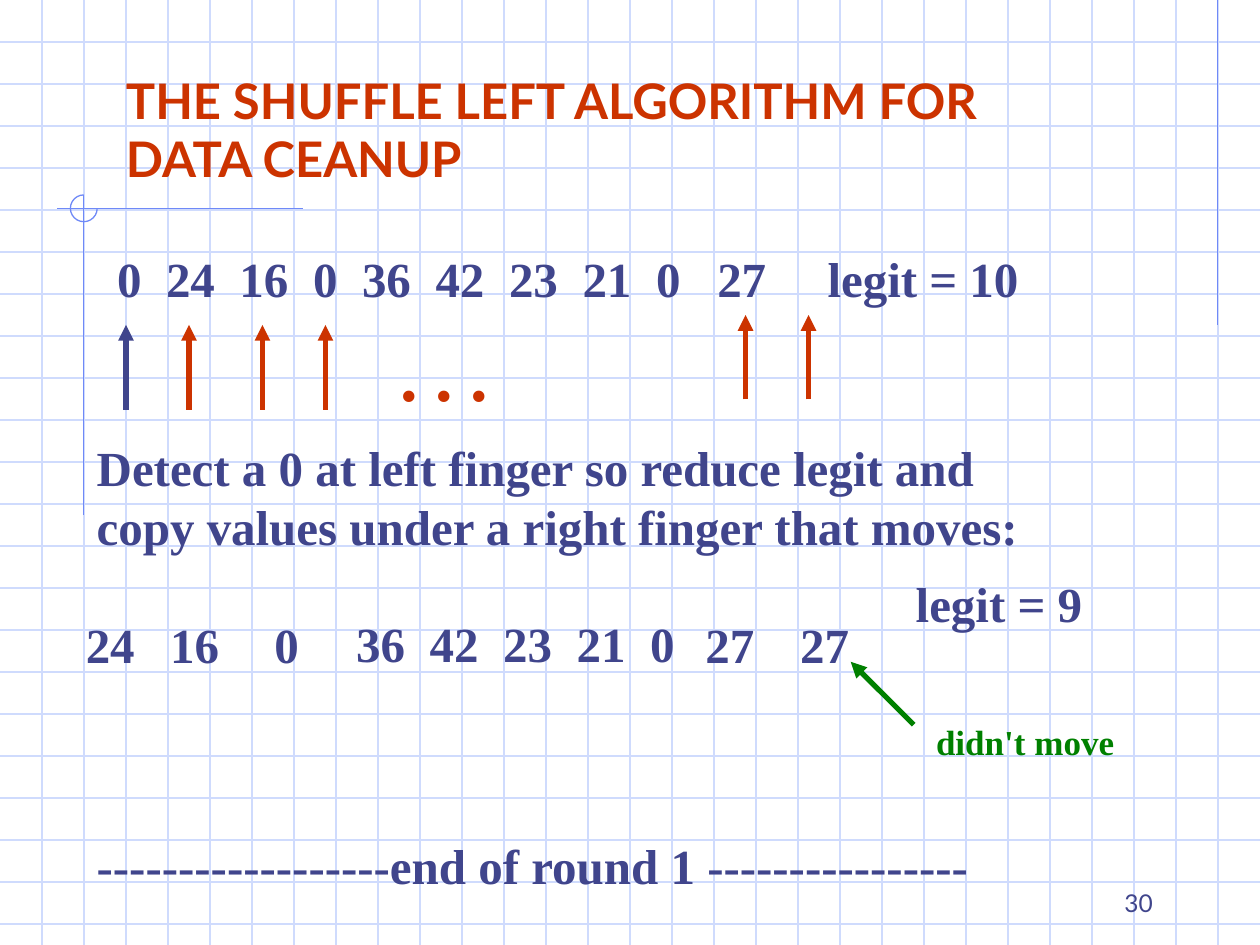
from dataclasses import dataclass

import pptx
import pptx.dml.color
import pptx.enum.shapes
import pptx.enum.text
import pptx.oxml
import pptx.oxml.ns
import pptx.util
from pptx.util import Cm

GRID, RULE = "CFDBFD", "6F89F7"
NAVY, RED, GREEN = "40458C", "CC3300", "008000"
SERIF, SANS = "Times New Roman", "Lato"
WIDTH, HEIGHT = 25.4, 19.05
STEP = WIDTH / 30


@dataclass
class Label:
    text: str
    x: float
    y: float
    w: float
    h: float = 1.45
    size: int = 28
    color: str = NAVY
    font: str = SERIF
    bold: bool = True
    bottom: bool = False
    right: bool = False
    tabs: tuple[int, ...] = ()  # points


@dataclass
class Line:
    x1: float
    y1: float
    x2: float
    y2: float
    color: str = RED
    width: float = 3
    arrow: bool = True


def rgb(color: str) -> pptx.dml.color.RGBColor:
    return pptx.dml.color.RGBColor.from_string(color)


def draw_line(s, line: Line) -> None:
    sp = s.shapes.add_connector(
        pptx.enum.shapes.MSO_CONNECTOR.STRAIGHT,
        Cm(line.x1), Cm(line.y1), Cm(line.x2), Cm(line.y2))
    sp.line.color.rgb = rgb(line.color)
    sp.line.width = pptx.util.Pt(line.width)
    if line.arrow:
        ln = sp.line._get_or_add_ln()
        ln.append(pptx.oxml.parse_xml(
            f'<a:tailEnd {pptx.oxml.ns.nsdecls("a")} type="triangle"/>'))
    sp._element.spPr.append(pptx.oxml.parse_xml(
        f'<a:effectLst {pptx.oxml.ns.nsdecls("a")}/>'))


def draw_label(s, label: Label) -> None:
    sp = s.shapes.add_textbox(Cm(label.x), Cm(label.y), Cm(label.w), Cm(label.h))
    tf = sp.text_frame
    tf.word_wrap = True
    if label.bottom:
        tf.vertical_anchor = pptx.enum.text.MSO_ANCHOR.BOTTOM
    p = tf.paragraphs[0]
    p.text = label.text
    p.alignment = (pptx.enum.text.PP_ALIGN.RIGHT if label.right
                   else pptx.enum.text.PP_ALIGN.LEFT)
    if label.tabs:
        stops = "".join(f'<a:tab pos="{pptx.util.Pt(t)}" algn="l"/>' for t in label.tabs)
        p._p.get_or_add_pPr().append(pptx.oxml.parse_xml(
            f'<a:tabLst {pptx.oxml.ns.nsdecls("a")}>{stops}</a:tabLst>'))
    font = p.runs[0].font
    font.name, font.size, font.bold = label.font, pptx.util.Pt(label.size), label.bold
    font.color.rgb = rgb(label.color)


def draw_background(s) -> None:
    # Graph paper
    for i in range(1, 23):
        draw_line(s, Line(0, i * STEP, WIDTH, i * STEP, GRID, 0.75, False))
    for i in range(1, 30):
        draw_line(s, Line(i * STEP, 0, i * STEP, HEIGHT, GRID, 0.75, False))

    # Accent rules and the open circle where they cross
    for ends in ((24.55, 0, 24.55, 6.56), (6.1, 4.21, 1.14, 4.21), (1.69, 3.93, 1.69, 10.39)):
        draw_line(s, Line(*ends, RULE, 0.75, False))
    sp = s.shapes.add_shape(pptx.enum.shapes.MSO_SHAPE.ARC,
                            Cm(1.42), Cm(3.93), Cm(0.54), Cm(0.54))
    sp.adjustments[0], sp.adjustments[1] = 0, 162
    sp.shadow.inherit = False
    sp.fill.background()
    sp.line.color.rgb = rgb(RULE)
    sp.line.width = pptx.util.Pt(0.75)


LABELS = [
    Label("THE SHUFFLE LEFT ALGORITHM FOR DATA CEANUP", 2.29, 1.14, 20.4, 2.77,
          color=RED, font=SANS, bottom=True),
    # Array before the round
    Label("0\t24\t16\t0\t36\t42\t23\t21\t0\t27\tlegit = 10", 2.11, 4.88, 20.32,
          tabs=(28, 70, 112, 140, 182, 224, 266, 308, 343, 406)),
    Label(". . .", 7.82, 6.55, 3.18, 1.96, size=40, color=RED),
    Label("Detect a 0 at left finger so reduce legit and copy values "
          "under a right finger that moves:", 1.7, 8.69, 20.12, 2.64),
    # Array after the round
    Label("legit = 9", 18.21, 11.43, 5.08),
    Label("24", 1.48, 12.27, 1.7),
    Label("16", 3.18, 12.27, 1.9),
    Label("0", 5.28, 12.27, 1.48),
    Label("36\t42\t23\t21\t0", 6.93, 12.24, 7.04, tabs=(42, 84, 126, 168)),
    Label("27", 13.97, 12.27, 1.9),
    Label("27", 15.88, 12.27, 2.54),
    Label("didn't move", 18.62, 14.4, 5.92, 1.12, size=20, color=GREEN),
    Label("------------------end of round 1 ----------------", 1.7, 16.71, 21.39),
    Label("30", 18.21, 17.35, 5.28, 1.27, size=14, font=SANS,
          bold=False, bottom=True, right=True),
]

# Left finger, right finger positions, and the pointer to the unmoved value
ARROWS = [
    Line(2.54, 8.26, 2.54, 6.55, NAVY),
    *(Line(x, 8.26, x, 6.55) for x in (3.81, 5.29, 6.56)),
    *(Line(x, 8.05, x, 6.35) for x in (15.03, 16.3)),
    Line(18.42, 14.61, 17.15, 13.34, GREEN),
]


def main() -> None:
    prs = pptx.Presentation()
    prs.slide_width, prs.slide_height = Cm(WIDTH), Cm(HEIGHT)
    s = prs.slides.add_slide(prs.slide_layouts[6])
    s.background.fill.solid()
    s.background.fill.fore_color.rgb = rgb("FFFFFF")
    draw_background(s)
    for label in LABELS:
        draw_label(s, label)
    for arrow in ARROWS:
        draw_line(s, arrow)
    prs.save("out.pptx")


if __name__ == "__main__":
    main()
